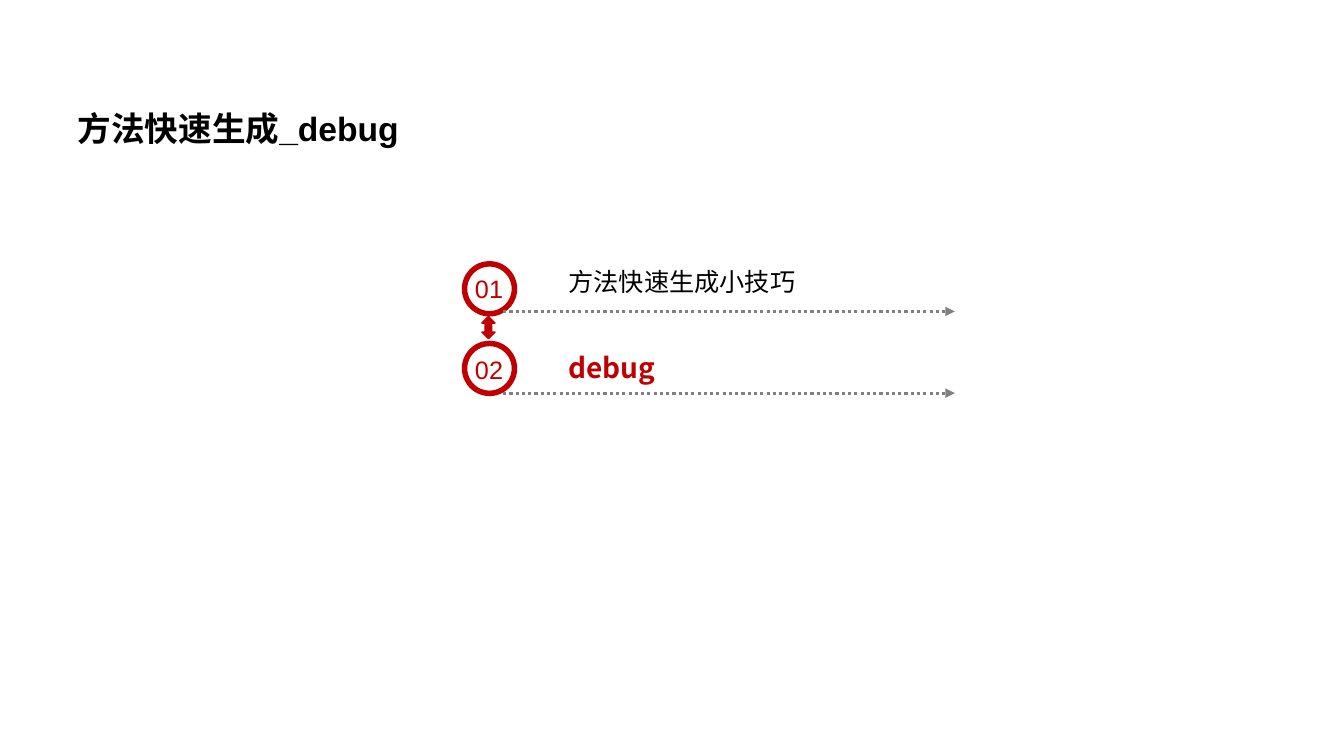
from lxml.etree import SubElement
from pptx import Presentation
from pptx.dml.color import RGBColor
from pptx.enum.dml import MSO_LINE
from pptx.enum.shapes import MSO_CONNECTOR, MSO_SHAPE
from pptx.enum.text import MSO_ANCHOR, MSO_AUTO_SIZE, PP_ALIGN
from pptx.oxml.ns import qn
from pptx.util import Inches, Pt

RED = RGBColor(0xC0, 0x00, 0x00)
BLACK = RGBColor(0x00, 0x00, 0x00)
GRAY = RGBColor(0x80, 0x80, 0x80)
LATIN = "Arial"
CJK = "Noto Sans CJK SC"


class AgendaSlide:
    def __init__(self, prs):
        self.s = prs.slides.add_slide(prs.slide_layouts[5])

    def add_run(self, tf, text, size, color, font=LATIN, bold=False, align=PP_ALIGN.LEFT):
        p = tf.paragraphs[0]
        p.alignment = align
        r = p.add_run()
        r.text = text
        r.font.name = font
        r.font.size = Pt(size)
        r.font.bold = bold
        r.font.color.rgb = color
        SubElement(r.font._element, qn("a:ea")).set("typeface", CJK)
        return p

    def title(self, text, x, y, w, h):
        sp = self.s.shapes.title
        sp.left, sp.top, sp.width, sp.height = map(Inches, (x, y, w, h))
        tf = sp.text_frame
        tf.auto_size = MSO_AUTO_SIZE.NONE
        tf.word_wrap = True
        tf.vertical_anchor = MSO_ANCHOR.TOP
        p = self.add_run(tf, text, 24, BLACK, bold=True)
        p.line_spacing = 1.5
        p.space_before = Pt(0)

    def text(self, text, x, y, w, h, size, color, wrap=True, **style):
        tf = self.s.shapes.add_textbox(*map(Inches, (x, y, w, h))).text_frame
        tf.word_wrap = wrap
        self.add_run(tf, text, size, color, **style)

    def shape(self, kind, x, y, w, h):
        sp = self.s.shapes.add_shape(kind, *map(Inches, (x, y, w, h)))
        sp.shadow.inherit = False
        sp.fill.solid()
        sp.fill.fore_color.rgb = RED
        return sp

    def ring(self, x, y, size):
        sp = self.shape(MSO_SHAPE.DONUT, x, y, size, size)
        sp.adjustments[0] = 0.1
        sp.line.fill.background()

    def double_arrow(self, x, y, w, h):
        sp = self.shape(MSO_SHAPE.UP_DOWN_ARROW, x, y, w, h)
        sp.line.color.rgb = RED
        sp.line.width = Pt(1)

    def dotted_arrow(self, x1, x2, y):
        c = self.s.shapes.add_connector(
            MSO_CONNECTOR.STRAIGHT, *map(Inches, (x1, y, x2, y)))
        c.line.color.rgb = GRAY
        c.line.width = Pt(2.25)
        c.line.dash_style = MSO_LINE.ROUND_DOT
        ln = c._element.spPr.find(qn("a:ln"))
        SubElement(ln, qn("a:tailEnd")).set("type", "triangle")
        SubElement(c._element.spPr, qn("a:effectLst"))


def main():
    prs = Presentation()
    prs.slide_width, prs.slide_height = Inches(13.33), Inches(7.5)
    agenda = AgendaSlide(prs)
    agenda.title("方法快速生成_debug", 0.67, 0.82, 11.74, 0.63)

    items = [
        ("01", 2.59, 2.66, 3.09),
        ("02", 3.38, 3.47, 3.9),
    ]
    for number, ring_y, number_y, line_y in items:
        agenda.ring(4.58, ring_y, 0.55)
        agenda.text(number, 4.61, number_y, 0.48, 0.4, 18, RED,
                    wrap=False, align=PP_ALIGN.CENTER)
        agenda.dotted_arrow(4.99, 9.47, line_y)

    agenda.text("方法快速生成小技巧", 5.54, 2.59, 3.96, 0.4, 18, BLACK)
    agenda.text("debug", 5.54, 3.43, 3.96, 0.44, 20, RED, font=CJK, bold=True)
    agenda.double_arrow(4.78, 3.14, 0.13, 0.22)
    prs.save("out.pptx")


if __name__ == "__main__":
    main()
